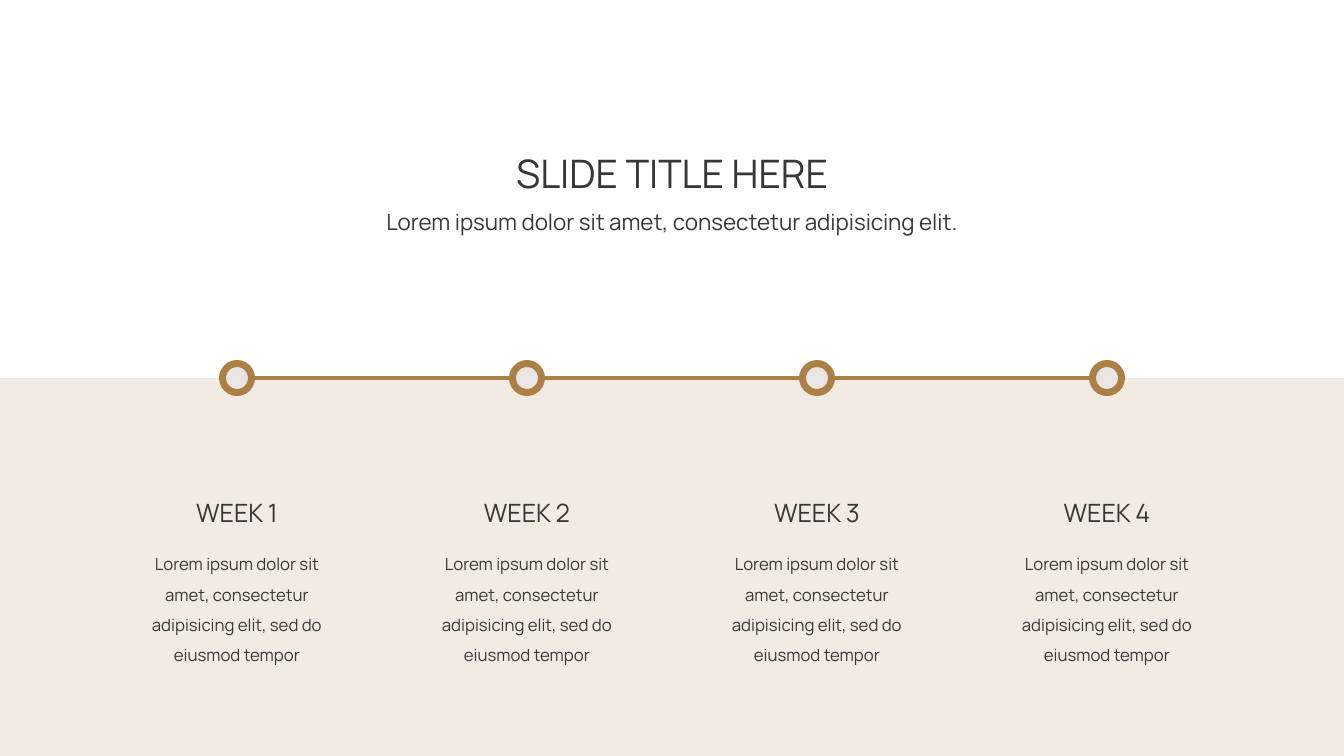
import pptx
import pptx.dml.color
import pptx.enum.shapes
import pptx.enum.text
import pptx.oxml.ns
import pptx.util
from lxml import etree

SHAPE = pptx.enum.shapes.MSO_SHAPE
WIDTH, HEIGHT = 1344, 756


def px(n):
    return pptx.util.Emu(round(n * 914400 / 100.8))


def color(value):
    return pptx.dml.color.RGBColor.from_string(value)


class Deck:
    font = "Manrope"
    ink = "383737"
    accent = "AC7F46"
    dot = "EAE6E4"

    def __init__(self):
        self.prs = pptx.Presentation()
        self.prs.slide_width, self.prs.slide_height = px(WIDTH), px(HEIGHT)
        self.s = self.prs.slides.add_slide(self.prs.slide_layouts[6])

    def shape(self, kind, x, y, w, h, fill):
        sp = self.s.shapes.add_shape(kind, px(x), px(y), px(w), px(h))
        sp.shadow.inherit = False
        sp.fill.solid()
        sp.fill.fore_color.rgb = color(fill)
        return sp

    def band(self, x, y, w, h, opacity):
        sp = self.shape(SHAPE.RECTANGLE, x, y, w, h, self.accent)
        sp.line.fill.background()
        tint = sp.fill._xPr.find(".//" + pptx.oxml.ns.qn("a:srgbClr"))
        etree.SubElement(tint, pptx.oxml.ns.qn("a:alpha"), val=str(opacity * 1000))

    def marker(self, cx, cy, size):
        sp = self.shape(SHAPE.OVAL, cx - size / 2, cy - size / 2, size, size, self.dot)
        sp.line.color.rgb = color(self.accent)
        sp.line.width = pptx.util.Pt(5)

    def line(self, x1, x2, y):
        kind = pptx.enum.shapes.MSO_CONNECTOR.STRAIGHT
        c = self.s.shapes.add_connector(kind, px(x1), px(y), px(x2), px(y))
        c.line.color.rgb = color(self.accent)
        c.line.width = pptx.util.Pt(3)
        etree.SubElement(c._element.spPr, pptx.oxml.ns.qn("a:effectLst"))

    def text(self, words, cx, y, w, h, size, spacing=None):
        sp = self.s.shapes.add_textbox(px(cx - w / 2), px(y), px(w), px(h))
        tf = sp.text_frame
        tf.word_wrap = True
        tf.auto_size = pptx.enum.text.MSO_AUTO_SIZE.SHAPE_TO_FIT_TEXT
        p = tf.paragraphs[0]
        p.text = words
        p.alignment = pptx.enum.text.PP_ALIGN.CENTER
        p.line_spacing = spacing
        p.font.name = self.font
        p.font.size = pptx.util.Pt(size)
        p.font.color.rgb = color(self.ink)


def main():
    deck = Deck()
    middle = HEIGHT // 2
    centers = [237 + 290 * i for i in range(4)]
    body = "Lorem ipsum dolor sit amet, consectetur adipisicing elit, sed do eiusmod tempor"

    deck.band(0, middle, WIDTH, middle, 15)
    deck.line(centers[0], centers[-1], middle)
    for week, cx in enumerate(centers, 1):
        deck.text(body, cx, 539, 217, 129, 12, 1.5)
        deck.text(f"WEEK {week}", cx, 492, 217, 40, 18)
        deck.marker(cx, middle, 29)
    deck.text("SLIDE TITLE HERE", WIDTH / 2, 144, 770, 57, 28)
    deck.text("Lorem ipsum dolor sit amet, consectetur adipisicing elit.",
              WIDTH / 2, 203, 770, 37, 16)
    deck.prs.save("out.pptx")


if __name__ == "__main__":
    main()
